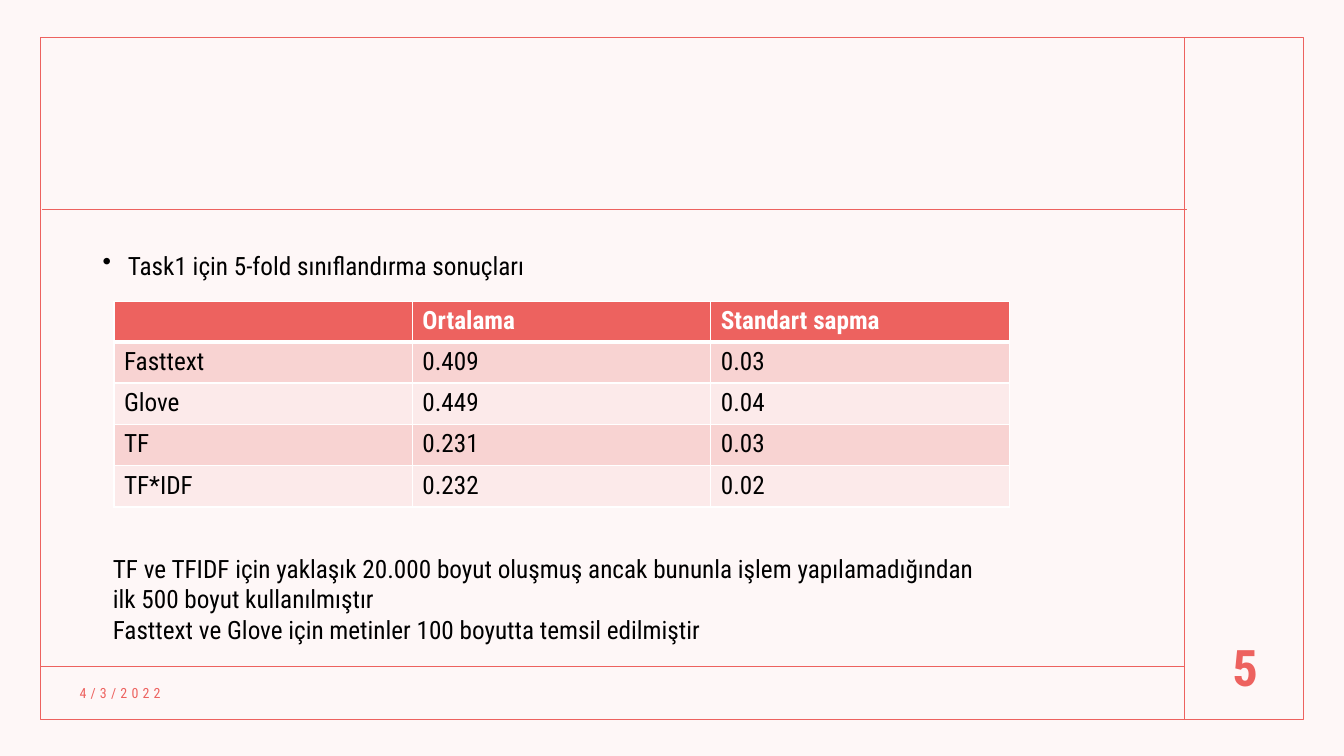
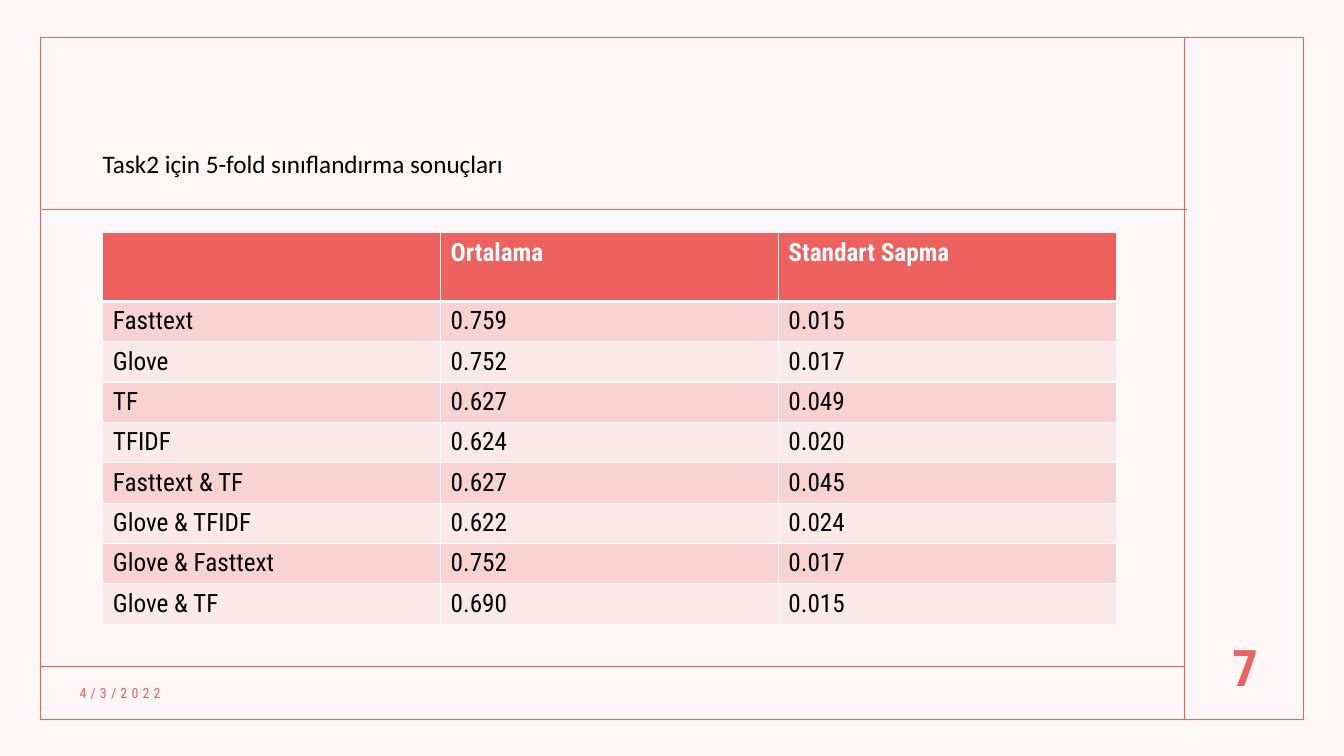
from dataclasses import dataclass

from lxml.etree import SubElement
from pptx import Presentation
from pptx.dml.color import RGBColor
from pptx.enum.shapes import MSO_CONNECTOR, MSO_SHAPE
from pptx.enum.text import MSO_ANCHOR, PP_ALIGN
from pptx.oxml.ns import qn
from pptx.slide import Slide
from pptx.table import _Cell
from pptx.text.text import _Paragraph
from pptx.util import Inches, Pt

CORAL = RGBColor(0xED, 0x62, 0x5F)
BLUSH = RGBColor(0xFE, 0xF7, 0xF7)
BAND_DARK = RGBColor(0xF8, 0xD3, 0xD2)
BAND_LIGHT = RGBColor(0xFC, 0xEA, 0xEA)
WHITE = RGBColor(0xFF, 0xFF, 0xFF)
BLACK = RGBColor(0x00, 0x00, 0x00)
BODY_FONT = "Roboto Condensed"
TITLE_FONT = "Calibri"
DATE = "4/3/2022"


@dataclass(frozen=True)
class Area:
    """A rectangle in inches."""

    left: float
    top: float
    width: float
    height: float

    def lengths(self) -> tuple[Inches, Inches, Inches, Inches]:
        """Return the rectangle as slide lengths."""
        return (Inches(self.left), Inches(self.top),
                Inches(self.width), Inches(self.height))


@dataclass(frozen=True)
class Rule:
    """A straight line in inches."""

    start_x: float
    start_y: float
    end_x: float
    end_y: float


@dataclass(frozen=True)
class TextStyle:
    """The look of the paragraphs in a text box."""

    size: float = 18
    font: str = BODY_FONT
    color: RGBColor = BLACK
    bold: bool = False
    align: PP_ALIGN = PP_ALIGN.LEFT
    anchor: MSO_ANCHOR = MSO_ANCHOR.TOP


@dataclass(frozen=True)
class ResultTable:
    """Classification scores with their place and row heights."""

    left: float
    top: float
    column_width: float
    header_height: float
    row_height: float
    rows: list[tuple[str, str, str]]


FRAME = Area(0.4, 0.37, 12.53, 6.77)
RULES = [
    Rule(11.75, 0.37, 11.75, 7.13),
    Rule(0.41, 6.61, 11.75, 6.61),
    Rule(0.42, 2.08, 11.77, 2.08),
]
BODY_STYLE = TextStyle()
HEADER_STYLE = TextStyle(color=WHITE, bold=True)
TITLE_STYLE = TextStyle(font=TITLE_FONT, anchor=MSO_ANCHOR.MIDDLE)
DATE_STYLE = TextStyle(size=10, color=CORAL, anchor=MSO_ANCHOR.MIDDLE)
NUMBER_STYLE = TextStyle(size=36, color=CORAL, bold=True,
                         align=PP_ALIGN.CENTER, anchor=MSO_ANCHOR.MIDDLE)

TASK1_RESULTS = ResultTable(1.13, 2.99, 2.96, 0.39, 0.41, [
    ("", "Ortalama", "Standart sapma"),
    ("Fasttext", "0.409", "0.03"),
    ("Glove", "0.449", "0.04"),
    ("TF", "0.231", "0.03"),
    ("TF*IDF", "0.232", "0.02"),
])
TASK2_RESULTS = ResultTable(1.02, 2.31, 3.35, 0.68, 0.39, [
    ("", "Ortalama", "Standart Sapma"),
    ("Fasttext", "0.759", "0.015"),
    ("Glove", "0.752", "0.017"),
    ("TF", "0.627", "0.049"),
    ("TFIDF", "0.624", "0.020"),
    ("Fasttext & TF", "0.627", "0.045"),
    ("Glove & TFIDF", "0.622", "0.024"),
    ("Glove & Fasttext", "0.752", "0.017"),
    ("Glove & TF", "0.690", "0.015"),
])


def style_paragraph(para: _Paragraph, style: TextStyle) -> None:
    """Apply a text style to one paragraph."""
    para.alignment = style.align
    para.font.size = Pt(style.size)
    para.font.name = style.font
    para.font.bold = style.bold
    para.font.color.rgb = style.color


def add_text(page: Slide, area: Area, lines: list[str],
             style: TextStyle = BODY_STYLE) -> list[_Paragraph]:
    """Add a wrapping text box with one paragraph per line."""
    frame = page.shapes.add_textbox(*area.lengths()).text_frame
    frame.word_wrap = True
    frame.vertical_anchor = style.anchor
    frame.text = "\n".join(lines)
    for para in frame.paragraphs:
        style_paragraph(para, style)
    return list(frame.paragraphs)


def add_bullet(para: _Paragraph) -> None:
    """Give a paragraph a hanging bullet."""
    properties = para._p.get_or_add_pPr()
    properties.set("marL", str(Inches(0.25)))
    properties.set("indent", str(Inches(-0.25)))
    para.line_spacing = 1.4
    para.space_before = Pt(10)
    bullet = properties.makeelement(qn("a:buChar"), {"char": "•"})
    properties.insert_element_before(bullet, "a:tabLst", "a:defRPr", "a:extLst")


def add_rule(page: Slide, rule: Rule) -> None:
    """Draw one thin coral line."""
    line = page.shapes.add_connector(
        MSO_CONNECTOR.STRAIGHT, Inches(rule.start_x), Inches(rule.start_y),
        Inches(rule.end_x), Inches(rule.end_y))
    line.line.color.rgb = CORAL
    line.line.width = Pt(1)
    SubElement(line._element.spPr, qn("a:effectLst"))


def add_page(deck: Presentation, number: int) -> Slide:
    """Add a page with the shared background, frame, date and number."""
    page = deck.slides.add_slide(deck.slide_layouts[6])
    page.background.fill.solid()
    page.background.fill.fore_color.rgb = BLUSH
    border = page.shapes.add_shape(MSO_SHAPE.RECTANGLE, *FRAME.lengths())
    border.shadow.inherit = False
    border.fill.background()
    border.line.color.rgb = CORAL
    border.line.width = Pt(1)
    for rule in RULES:
        add_rule(page, rule)
    date = add_text(page, Area(0.69, 6.72, 3.45, 0.31), [DATE], DATE_STYLE)[0]
    for span in date.runs:
        span.font._element.set("spc", "300")
    add_text(page, Area(11.83, 6.2, 1.04, 0.83), [str(number)], NUMBER_STYLE)
    return page


def set_borders(cell: _Cell, top: float, bottom: float) -> None:
    """Draw white cell borders; widths are in points."""
    properties = cell._tc.get_or_add_tcPr()
    widths = {"a:lnL": 1, "a:lnR": 1, "a:lnT": top, "a:lnB": bottom}
    for tag, width in widths.items():
        line = SubElement(properties, qn(tag), w=str(Pt(width)))
        fill = SubElement(line, qn("a:solidFill"))
        SubElement(fill, qn("a:srgbClr"), val=str(WHITE))


def add_results(page: Slide, results: ResultTable) -> None:
    """Add a table with a coral header and banded rows."""
    row_count, column_count = len(results.rows), len(results.rows[0])
    area = Area(results.left, results.top, results.column_width * column_count,
                results.header_height + results.row_height * (row_count - 1))
    table = page.shapes.add_table(row_count, column_count, *area.lengths()).table
    table.horz_banding = False
    for column in table.columns:
        column.width = Inches(results.column_width)
    for index, values in enumerate(results.rows):
        header = index == 0
        height = results.header_height if header else results.row_height
        table.rows[index].height = Inches(height)
        band = BAND_DARK if index % 2 else BAND_LIGHT
        for cell, value in zip(table.rows[index].cells, values):
            cell.text = value
            style_paragraph(cell.text_frame.paragraphs[0],
                            HEADER_STYLE if header else BODY_STYLE)
            set_borders(cell, top=3 if index == 1 else 1,
                        bottom=3 if header else 1)
            cell.fill.solid()
            cell.fill.fore_color.rgb = CORAL if header else band


def add_task1_page(deck: Presentation) -> None:
    """Build the page with the results of the first task."""
    page = add_page(deck, 5)
    heading = add_text(page, Area(0.92, 2.31, 10.42, 0.6),
                       ["Task1 için 5-fold sınıflandırma sonuçları"])
    add_bullet(heading[0])
    add_results(page, TASK1_RESULTS)
    add_text(page, Area(1.02, 5.44, 8.89, 1.01), [
        "TF ve TFIDF için yaklaşık 20.000 boyut oluşmuş ancak bununla işlem "
        "yapılamadığından ilk 500 boyut kullanılmıştır",
        "Fasttext ve Glove için metinler 100 boyutta temsil edilmiştir",
    ])


def add_task2_page(deck: Presentation) -> None:
    """Build the page with the results of the second task."""
    page = add_page(deck, 7)
    add_text(page, Area(0.92, 1.42, 10.42, 0.4),
             ["Task2 için 5-fold sınıflandırma sonuçları"], TITLE_STYLE)
    add_results(page, TASK2_RESULTS)


def main() -> None:
    """Build and save the deck."""
    deck = Presentation()
    deck.slide_width = Inches(13.33)
    deck.slide_height = Inches(7.5)
    add_task1_page(deck)
    add_task2_page(deck)
    deck.save("out.pptx")


main()
